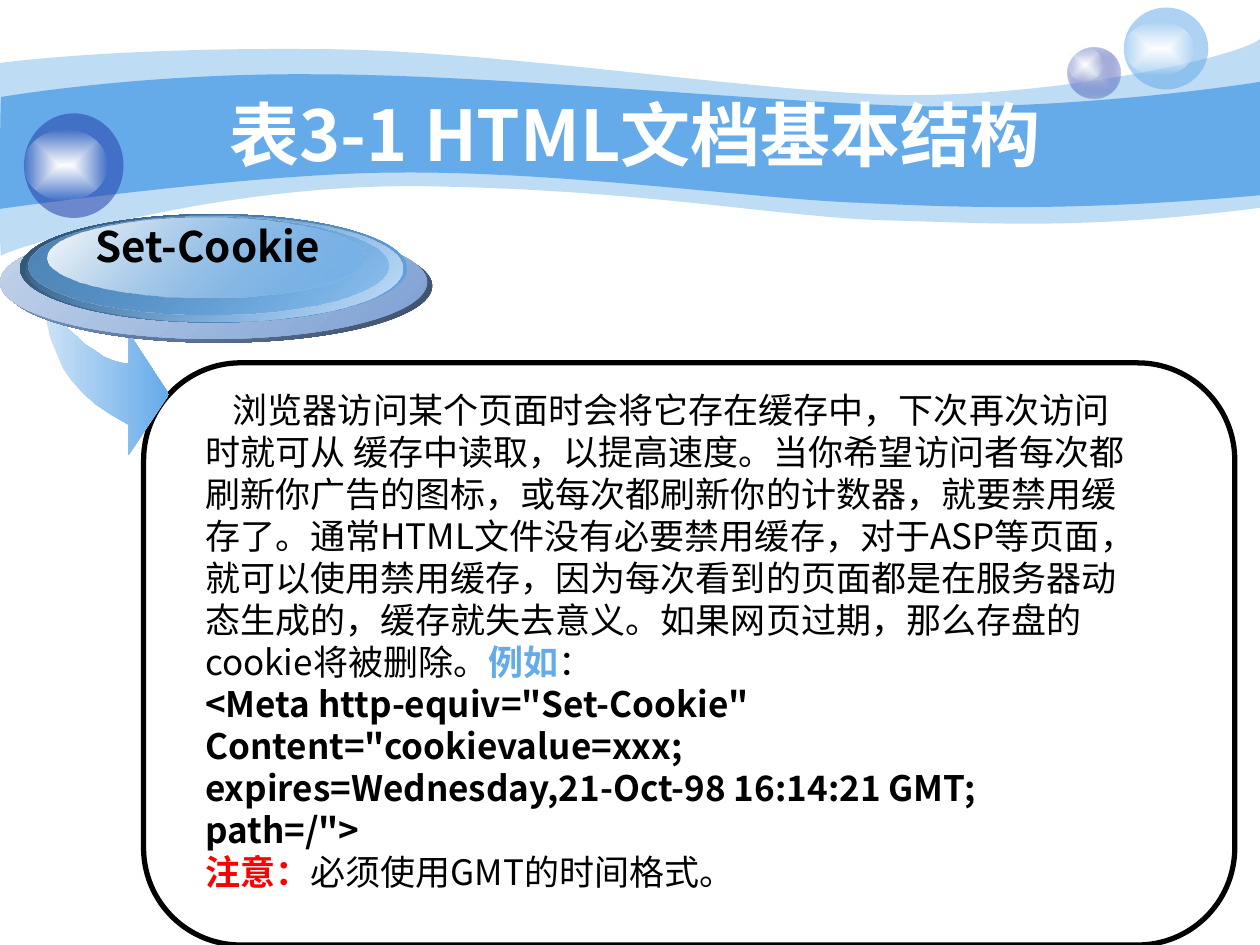
from dataclasses import dataclass

from lxml import etree
from pptx import Presentation
from pptx.dml.color import RGBColor
from pptx.enum.shapes import MSO_SHAPE
from pptx.enum.text import MSO_ANCHOR, MSO_AUTO_SIZE, PP_ALIGN
from pptx.oxml.ns import qn
from pptx.util import Pt

OVAL = MSO_SHAPE.OVAL
ROUNDED = MSO_SHAPE.ROUNDED_RECTANGLE
CENTER, LEFT = PP_ALIGN.CENTER, PP_ALIGN.LEFT
TOP, MIDDLE = MSO_ANCHOR.TOP, MSO_ANCHOR.MIDDLE
GROW, FIXED = MSO_AUTO_SIZE.SHAPE_TO_FIT_TEXT, MSO_AUTO_SIZE.NONE
PX = 9144


@dataclass(frozen=True)
class Theme:
    font: str = "Noto Sans CJK SC"
    title_size: int = 40
    label_size: int = 24
    body_size: int = 20
    sky: str = "65AAE9"
    pale_sky: str = "CDE3F7"
    navy: str = "233DA9"
    white: str = "FFFFFF"
    near_white: str = "FEFEFE"
    black: str = "000000"
    red: str = "FF0000"


THEME = Theme()


def add_color(parent, color, opacity=100):
    node = etree.SubElement(parent, qn("a:srgbClr"), val=color)
    if opacity < 100:
        etree.SubElement(node, qn("a:alpha"), val=str(opacity * 1000))


def paint(shape, stops, angle=None):
    shape.shadow.inherit = False
    shape.line.fill.background()
    shape.fill.background()
    old = shape._element.spPr.find(qn("a:noFill"))
    if len(stops) == 1:
        fill = etree.Element(qn("a:solidFill"))
        add_color(fill, *stops[0])
    else:
        fill = etree.Element(qn("a:gradFill"), rotWithShape="1")
        stop_list = etree.SubElement(fill, qn("a:gsLst"))
        for position, stop in zip(("0", "100000"), stops):
            add_color(etree.SubElement(stop_list, qn("a:gs"), pos=position), *stop)
        if angle is None:
            center = etree.SubElement(fill, qn("a:path"), path="rect")
            etree.SubElement(center, qn("a:fillToRect"), l="50000", t="50000", r="50000", b="50000")
        else:
            etree.SubElement(fill, qn("a:lin"), ang=str(angle * 60000), scaled="0")
    old.getparent().replace(old, fill)


def add_oval(page, left, top, width, height, stops, angle=None):
    oval = page.shapes.add_shape(OVAL, left * PX, top * PX, width * PX, height * PX)
    paint(oval, stops, angle)


def add_outline(page, box, points, stops, angle=None):
    scaled = [(x * PX, y * PX) for x, y in points]
    builder = page.shapes.build_freeform(*scaled[0])
    builder.add_line_segments(scaled[1:], close=True)
    outline = builder.convert_to_shape(box[0] * PX, box[1] * PX)
    paint(outline, stops, angle)
    return outline


def add_wave(page, box, start, segments, stops):
    points = [start, *(point for segment in segments for point in segment)]
    wave = add_outline(page, box, points, stops)
    lines = iter(list(wave._element.iter(qn("a:lnTo"))))
    for segment in segments:
        first = next(lines)
        if len(segment) == 3:
            curve = etree.Element(qn("a:cubicBezTo"))
            first.addprevious(curve)
            for line in (first, next(lines), next(lines)):
                curve.append(line[0])
                line.getparent().remove(line)


def add_text(page, box, paragraphs, align=LEFT, anchor=TOP, fit=GROW):
    frame = page.shapes.add_textbox(*(value * PX for value in box)).text_frame
    frame.word_wrap = True
    frame.auto_size = fit
    frame.vertical_anchor = anchor
    for index, spans in enumerate(paragraphs):
        para = frame.paragraphs[0] if index == 0 else frame.add_paragraph()
        para.alignment = align
        for text, size, color, bold in spans:
            span = para.add_run()
            span.text = text
            span.font.size = Pt(size)
            span.font.bold = bold
            span.font.color.rgb = RGBColor.from_string(color)
            span.font.name = THEME.font
            latin = span._r.rPr.find(qn("a:latin"))
            latin.addnext(etree.Element(qn("a:ea"), typeface=THEME.font))
    return frame


def add_banner(page, box):
    left, top = box[:2]
    pale_segments = [
        ((24, 47), (107, 38), (247, 39)), ((386, 39), (575, 70), (699, 75)),
        ((822, 80), (980, 47), (1000, 31)), ((1000, 165),),
        ((858, 183), (787, 177), (705, 175)), ((622, 173), (515, 151), (343, 148)),
        ((172, 144), (4, 199), (1, 203)), ((-1, 208), (0, 75), (0, 50))]
    strong_segments = [
        ((2, 77), (110, 58), (248, 59)), ((386, 59), (595, 80), (718, 84)),
        ((841, 88), (976, 69), (1000, 65)), ((1000, 155),),
        ((853, 168), (765, 165), (682, 161)), ((599, 158), (447, 136), (317, 137)),
        ((203, 137), (-2, 166), (-1, 166)), ((0, 166), (0, 77), (1, 77))]
    add_wave(page, box, (0, 50), pale_segments, [(THEME.sky, 41)])
    add_wave(page, box, (1, 77), strong_segments, [(THEME.sky,)])
    glow = [(THEME.white,), (THEME.near_white, 0)]
    bubbles = [
        ((847, 38, 42, 40), [("C6CCE8",), (THEME.navy, 31)], (0, 28, 27)),
        ((892, 6, 67, 65), [(THEME.sky, 53)], (11, 56, 43)),
        ((19, 90, 79, 83), [(THEME.navy, 53)], (13, 66, 56)),
    ]
    for (x, y, width, height), stops, (drop, glow_width, glow_height) in bubbles:
        add_oval(page, left + x, top + y, width, height, stops)
        add_oval(page, left + x, top + y + drop, glow_width, glow_height, glow)
    title = ("表3-1 HTML文档基本结构", THEME.title_size, THEME.white, True)
    add_text(page, (left + 100, top + 75, 808, 62), [[title]], CENTER, MIDDLE, FIXED)


def add_panel(page, box):
    left, top = box[:2]
    panel = page.shapes.add_shape(ROUNDED, *(value * PX for value in box))
    panel.shadow.inherit = False
    panel.fill.background()
    panel.line.color.rgb = RGBColor.from_string(THEME.black)
    panel.line.width = Pt(3)
    size = THEME.body_size
    code = ('<Meta http-equiv="Set-Cookie" Content="cookievalue=xxx;',
            'expires=Wednesday,21-Oct-98 16:14:21 GMT; path=/">')
    explanation = (
        "浏览器访问某个页面时会将它存在缓存中，下次再次访问时就可从 缓存中读取，以提高速度。"
        "当你希望访问者每次都刷新你广告的图标，或每次都刷新你的计数器，就要禁用缓存了。"
        "通常HTML文件没有必要禁用缓存，对于ASP等页面，就可以使用禁用缓存，"
        "因为每次看到的页面都是在服务器动态生成的，缓存就失去意义。"
        "如果网页过期，那么存盘的cookie将被删除。")
    paragraphs = [
        [(explanation, size, THEME.black, False),
         ("例如", size, THEME.sky, True), ("：", size, THEME.black, False)],
        *([(line, size, THEME.black, True)] for line in code),
        [("注意：", size, THEME.red, True),
         ("必须使用GMT的时间格式。", size, THEME.black, False)],
    ]
    frame = add_text(page, (left + 39, top + 8, 756, 450), paragraphs)
    frame.margin_top = 12 * PX
    frame.paragraphs[0]._p.get_or_add_pPr().set("indent", str(22 * PX))


def add_arrow(page, box):
    points = [(0, 0), (1, 16), (2, 30), (5, 43), (10, 55), (15, 67), (22, 77), (31, 87),
              (41, 96), (53, 104), (67, 112), (67, 136), (99, 88), (67, 39), (67, 64),
              (61, 63), (54, 61), (47, 58), (40, 53), (32, 48), (26, 42), (19, 36),
              (13, 29), (8, 21), (4, 14), (1, 7), (1, 0)]
    add_outline(page, box, points, [(THEME.pale_sky,), (THEME.sky,)], 0)


def add_badge(page, box):
    left, top = box[:2]
    layers = [
        ((4, 12, 339, 90), ("3C4D66",), ("7DA0D3",)),
        ((0, 9, 339, 90), ("7DA0D3",), ("C4D4EA",)),
        ((16, 0, 307, 86), (THEME.sky,), ("2E4E6B",)),
        ((20, 1, 299, 84), ("C8E0F6",), (THEME.sky, 0)),
        ((23, 2, 285, 78), (THEME.sky, 48), ("4F86B7",)),
        ((38, 3, 251, 63), (THEME.sky, 38), (THEME.near_white,)),
    ]
    for (x, y, width, height), *stops in layers:
        add_oval(page, left + x, top + y, width, height, stops, 225)
    label = ("Set-Cookie", THEME.label_size, THEME.black, True)
    add_text(page, (left + 27, top, 276, 50), [[label]], CENTER)


def main():
    deck = Presentation()
    deck.slide_width, deck.slide_height = 1000 * PX, 750 * PX
    page = deck.slides.add_slide(deck.slide_layouts[6])
    add_banner(page, (0, 0, 1000, 208))
    add_panel(page, (114, 288, 866, 462))
    add_arrow(page, (35, 225, 99, 136))
    add_badge(page, (0, 170, 343, 102))
    deck.save("out.pptx")


if __name__ == "__main__":
    main()
